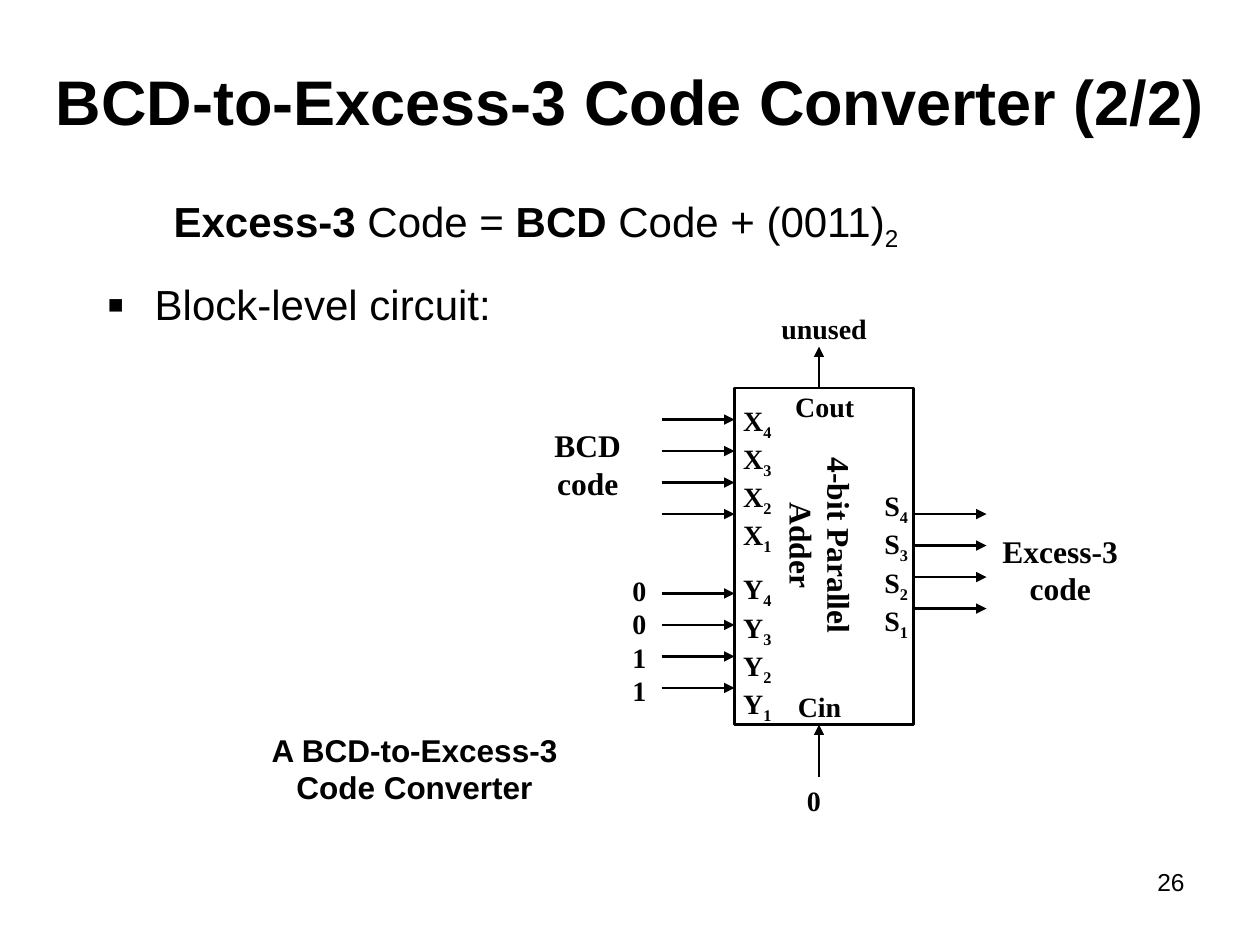
from lxml import etree
from pptx import Presentation
from pptx.dml.color import RGBColor
from pptx.enum.shapes import MSO_CONNECTOR, MSO_SHAPE
from pptx.enum.text import MSO_ANCHOR, MSO_AUTO_SIZE, PP_ALIGN
from pptx.oxml.ns import qn
from pptx.util import Inches, Pt

BLACK = RGBColor(0, 0, 0)
SANS, SERIF = "Arial", "Times New Roman"
LEFT, CENTER, RIGHT = PP_ALIGN.LEFT, PP_ALIGN.CENTER, PP_ALIGN.RIGHT
BOLD, SUBSCRIPT = "bold", "subscript"

ADDER_LEFT, ADDER_RIGHT = 5.83, 7.25
ADDER_TOP, ADDER_BOTTOM = 3.08, 5.75
CARRY_X = 6.5
PIN_LENGTH, PIN_PITCH = 0.58, 0.25
BITS = (4, 3, 2, 1)


def write_text(frame, paragraphs, font=SERIF, size=16, bold=True, align=CENTER):
    """Fill a frame; a paragraph is a string or a list of (text, style) runs."""
    for index, runs in enumerate(paragraphs):
        paragraph = frame.paragraphs[0] if index == 0 else frame.add_paragraph()
        paragraph.alignment = align
        for text, style in [(runs, None)] if isinstance(runs, str) else runs:
            run = paragraph.add_run()
            run.text = text
            run.font.name = font
            run.font.size = Pt(size)
            run.font.bold = bold or style == BOLD
            run.font.color.rgb = BLACK
            if style == SUBSCRIPT:
                run._r.get_or_add_rPr().set("baseline", "-25000")


def set_indent(paragraph, margin, indent=0):
    properties = paragraph._p.get_or_add_pPr()
    properties.set("marL", str(Inches(margin)))
    properties.set("indent", str(Inches(indent)))
    return properties


def add_square_bullet(paragraph):
    properties = set_indent(paragraph, 0.38, -0.38)
    color = etree.SubElement(properties, qn("a:buClr"))
    etree.SubElement(color, qn("a:srgbClr"), val=str(BLACK))
    etree.SubElement(properties, qn("a:buSzPct"), val="120000")
    etree.SubElement(properties, qn("a:buFont"), typeface=SANS)
    etree.SubElement(properties, qn("a:buChar"), char="▪")


class CircuitSlide:
    def __init__(self, presentation):
        self.slide = presentation.slides.add_slide(presentation.slide_layouts[5])
        self.shapes = self.slide.shapes

    def start_group(self):
        self.shapes = self.slide.shapes.add_group_shape().shapes

    def end_group(self):
        self.shapes = self.slide.shapes

    def title(self, text, left, top, width, height):
        title = self.slide.shapes.title
        title.left, title.top = Inches(left), Inches(top)
        title.width, title.height = Inches(width), Inches(height)
        title.text_frame.vertical_anchor = MSO_ANCHOR.MIDDLE
        title.text_frame.auto_size = MSO_AUTO_SIZE.NONE
        write_text(title.text_frame, [text], font=SANS, size=36)

    def text(self, paragraphs, left, top, width, height, rotation=0, **text_format):
        box = self.shapes.add_textbox(
            Inches(left), Inches(top), Inches(width), Inches(height))
        box.rotation = rotation
        box.text_frame.word_wrap = True
        write_text(box.text_frame, paragraphs, **text_format)
        return box.text_frame

    def block(self, left, top, right, bottom):
        block = self.shapes.add_shape(
            MSO_SHAPE.RECTANGLE, Inches(left), Inches(top),
            Inches(right - left), Inches(bottom - top))
        block.shadow.inherit = False
        block.fill.background()
        block.line.color.rgb = BLACK
        block.line.width = Pt(1.5)

    def arrow(self, x1, y1, x2, y2):
        arrow = self.shapes.add_connector(
            MSO_CONNECTOR.STRAIGHT, Inches(x1), Inches(y1), Inches(x2), Inches(y2))
        arrow.line.color.rgb = BLACK
        arrow.line.width = Pt(1.25)
        etree.SubElement(arrow.line._get_or_add_ln(), qn("a:tailEnd"), type="triangle")
        etree.SubElement(arrow._element.spPr, qn("a:effectLst"))

    def pins(self, letter, label_left, label_top, arrow_left, arrow_top):
        """Draw four numbered pin labels and an arrow for each."""
        labels = [[(letter, None), (str(bit), SUBSCRIPT)] for bit in BITS]
        self.text(labels, label_left, label_top, 0.5, 1.32, align=LEFT)
        for row in range(len(BITS)):
            y = arrow_top + row * PIN_PITCH
            self.arrow(arrow_left, y, arrow_left + PIN_LENGTH, y)


def main():
    presentation = Presentation()
    presentation.slide_width, presentation.slide_height = Inches(10), Inches(7.5)
    page = CircuitSlide(presentation)

    page.title("BCD-to-Excess-3 Code Converter (2/2)", 0.25, 0.17, 9.5, 1.25)
    formula = [("Excess-3", BOLD), (" Code = ", None), ("BCD", BOLD),
               (" Code + (0011)", None), ("2", SUBSCRIPT)]
    body = page.text([formula, "Block-level circuit:"], 0.75, 1.5, 8.5, 1.17,
                     font=SANS, size=24, bold=False, align=LEFT)
    formula_line, circuit_line = body.paragraphs
    set_indent(formula_line, 0.53)
    add_square_bullet(circuit_line)
    circuit_line.space_before = Pt(15)

    page.start_group()
    page.block(ADDER_LEFT, ADDER_TOP, ADDER_RIGHT, ADDER_BOTTOM)
    page.text(["4-bit Parallel Adder"], 5.68, 3.98, 1.67, 0.7, rotation=90, size=18)

    input_left = ADDER_LEFT - PIN_LENGTH
    page.pins("X", 5.8, 3.15, input_left, 3.33)
    page.pins("Y", 5.8, 4.49, input_left, 4.71)
    page.pins("S", 6.92, 3.83, ADDER_RIGHT, 4.08)
    page.arrow(CARRY_X, 6.17, CARRY_X, ADDER_BOTTOM)
    page.arrow(CARRY_X, ADDER_TOP, CARRY_X, 2.75)

    page.text(["BCD", "code"], 4.25, 3.33, 0.83, 0.7, size=18)
    page.text(["Excess-3", "code"], 7.83, 4.17, 1.17, 0.7, size=18)
    page.text(list("0011"), 4.92, 4.5, 0.33, 1.17, align=LEFT)
    for label, left, top, width in (
        ("unused", 6.08, 2.42, 0.92),
        ("Cout", 6.17, 3.04, 0.75),
        ("Cin", 6.17, 5.42, 0.67),
        ("0", 6.25, 6.17, 0.42),
    ):
        page.text([label], left, top, width, 0.37)
    page.end_group()

    page.text(["A BCD-to-Excess-3 Code Converter"], 1.83, 5.75, 2.92, 0.7,
              font=SANS, size=18)
    page.text(["26"], 7.17, 6.83, 2.33, 0.52,
              font=SANS, size=14, bold=False, align=RIGHT)

    presentation.save("out.pptx")


if __name__ == "__main__":
    main()
